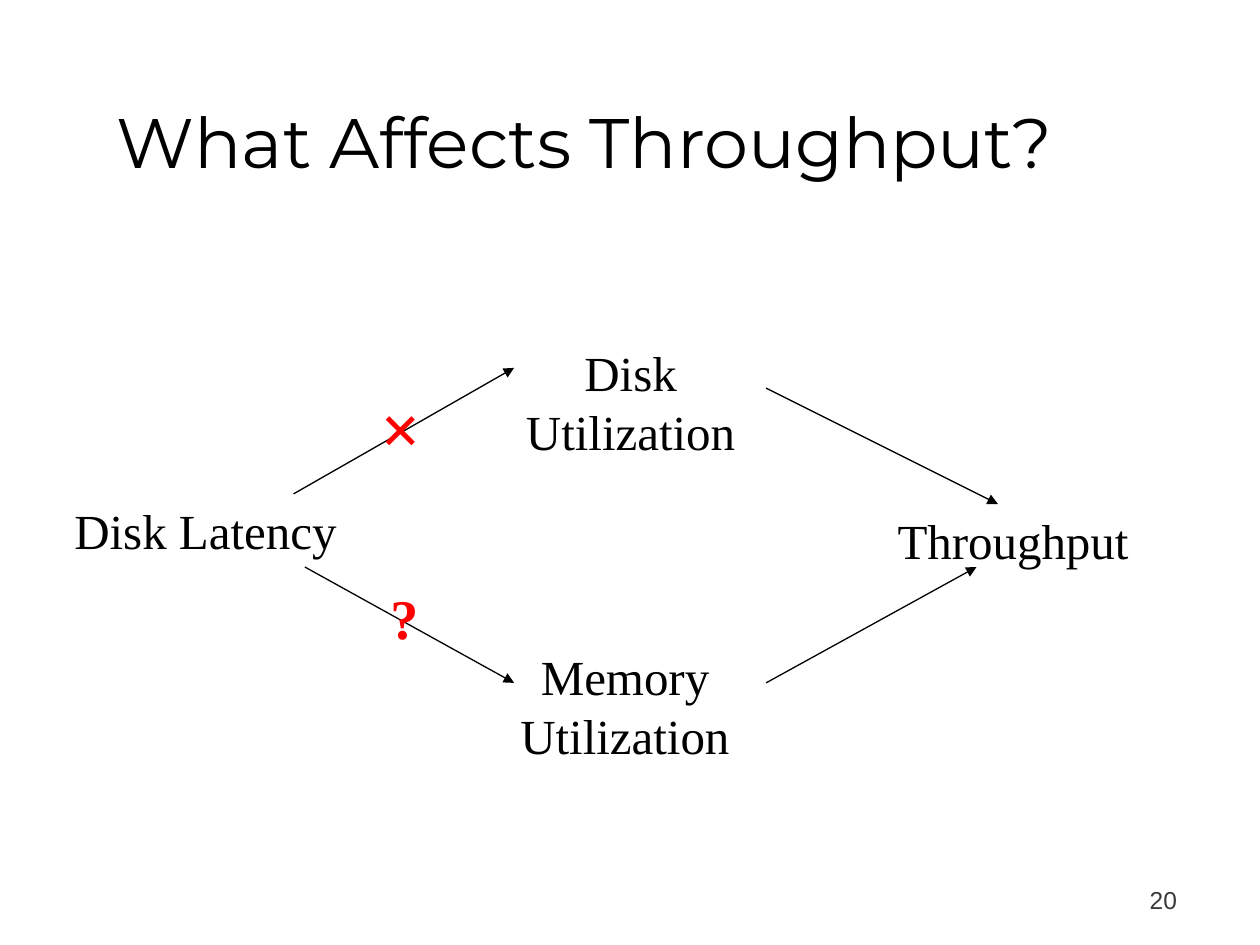
from lxml import etree
from pptx import Presentation
from pptx.dml.color import RGBColor
from pptx.enum import shapes, text
from pptx.oxml import ns
from pptx.util import Inches, Pt

BLACK = RGBColor(0x00, 0x00, 0x00)
RED = RGBColor(0xFF, 0x00, 0x00)
GREY = RGBColor(0x39, 0x39, 0x39)
SERIF = "Times New Roman"

FACTORS = [
    ("Disk Latency", (0, 1.25, 2.42, 0.57)),
    ("Memory Utilization", (3.33, 2.41, 2.42, 1.04)),
    ("Disk Utilization", (3.26, 0, 2.65, 1.04)),
    ("Throughput", (6.41, 1.33, 2.42, 0.57)),
]
ARROWS = [
    ((1.91, 1.25), (3.66, 0.25)),
    ((5.66, 0.41), (7.5, 1.33)),
    ((2, 1.83), (3.66, 2.75)),
    ((5.66, 2.75), (7.33, 1.83)),
]
MARKS = [
    ("×", (2.46, 0.33, 0.6, 0.77), 40),
    ("?", (2.33, 1.91, 0.92, 0.64), 32),
]


def add_text(slide, box, wording, size, font=SERIF, color=BLACK, bold=False,
             align=text.PP_ALIGN.CENTER, anchor=text.MSO_ANCHOR.TOP):
    """Add a wrapping text box with one formatted paragraph."""
    shape = slide.shapes.add_textbox(*map(Inches, box))
    frame = shape.text_frame
    frame.word_wrap = True
    frame.vertical_anchor = anchor
    frame.text = wording
    paragraph = frame.paragraphs[0]
    paragraph.alignment = align
    run_font = paragraph.runs[0].font
    run_font.name = font
    run_font.size = Pt(size)
    run_font.bold = bold
    run_font.color.rgb = color


def add_arrow(slide, start, end):
    """Draw a thin black line with a triangle at its end."""
    connector = slide.shapes.add_connector(
        shapes.MSO_CONNECTOR.STRAIGHT, *map(Inches, start + end))
    connector.line.color.rgb = BLACK
    connector.line.width = Pt(0.75)
    properties = connector.line._get_or_add_ln()
    etree.SubElement(properties, ns.qn("a:tailEnd"), type="triangle")
    etree.SubElement(connector._element.spPr, ns.qn("a:effectLst"))


def add_title(slide, box):
    """Place the slide title at the bottom of its box."""
    add_text(slide, box, "What Affects Throughput?", 40, "Montserrat",
             align=text.PP_ALIGN.LEFT, anchor=text.MSO_ANCHOR.BOTTOM)


def add_diagram(slide, left, top):
    """Place the factors, arrows and red marks from the given corner."""
    def shift(x, y):
        """Move a point from the diagram to the slide."""
        return left + x, top + y

    for wording, (x, y, *size) in FACTORS:
        add_text(slide, (*shift(x, y), *size), wording, 28)
    for start, end in ARROWS:
        add_arrow(slide, shift(*start), shift(*end))
    for symbol, (x, y, *size), points in MARKS:
        add_text(slide, (*shift(x, y), *size), symbol, points,
                 color=RED, bold=True)


def add_page_number(slide, box):
    """Place the page number at the lower right of its box."""
    add_text(slide, box, "20", 14, "Arial", GREY,
             align=text.PP_ALIGN.RIGHT, anchor=text.MSO_ANCHOR.BOTTOM)


def main():
    """Build and save the slide."""
    presentation = Presentation()
    presentation.slide_width = Inches(10)
    presentation.slide_height = Inches(7.5)
    slide = presentation.slides.add_slide(presentation.slide_layouts[6])
    add_title(slide, (0.83, 0.25, 8.33, 1.25))
    add_diagram(slide, 0.42, 2.67)
    add_page_number(slide, (7.36, 6.81, 2.08, 0.5))
    presentation.save("out.pptx")


if __name__ == "__main__":
    main()
